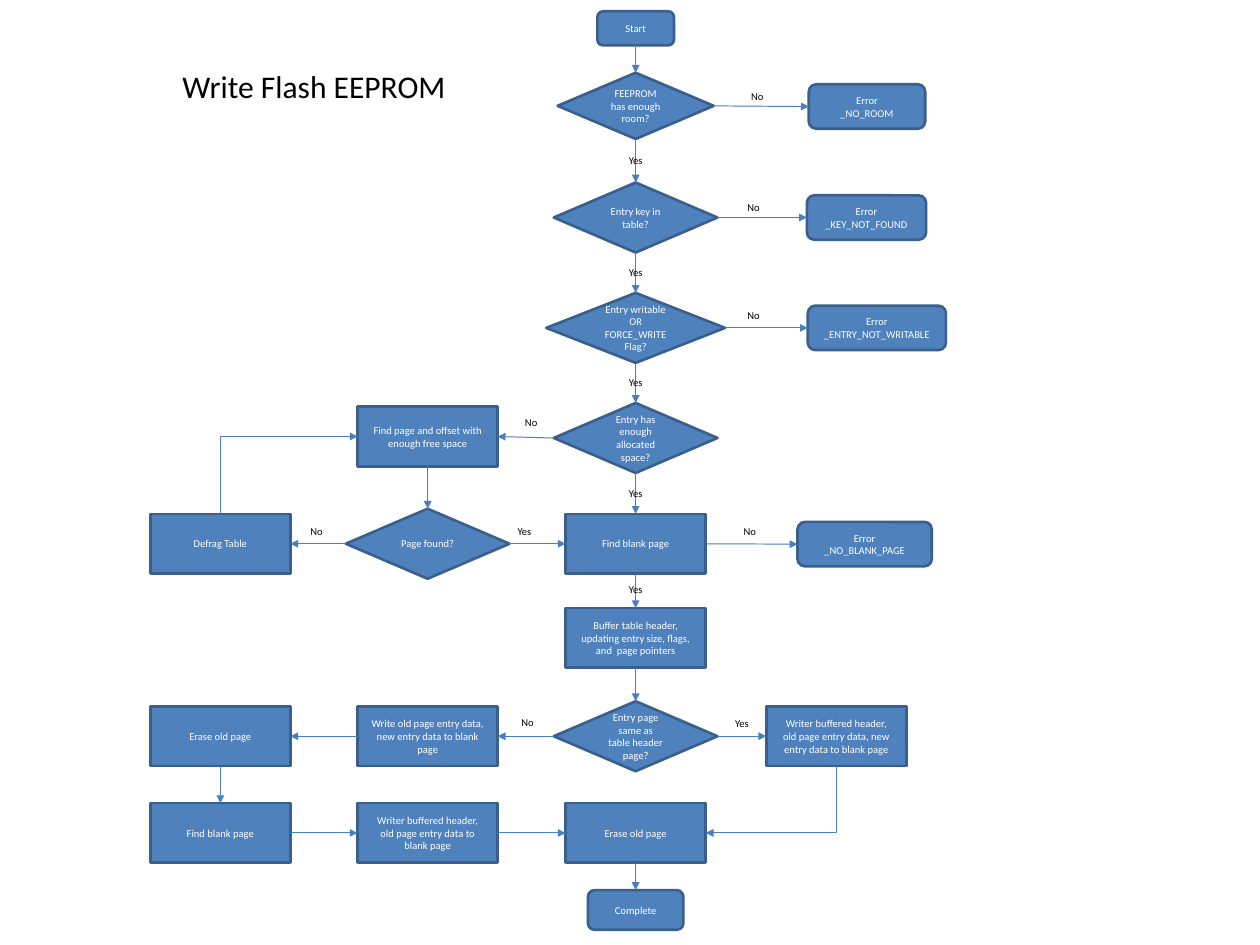
from lxml import etree
from pptx import Presentation
from pptx import util as u
from pptx.dml.color import RGBColor
from pptx.enum import shapes, text
from pptx.oxml.ns import qn

COLORS = {"fill": "4F81BD", "edge": "3A5F8C", "arrow": "4B7EBC",
          "light": "FFFFFF", "dark": "000000"}
TOP, LEFT, BOTTOM, RIGHT = range(4)
PROCESS = shapes.MSO_SHAPE.FLOWCHART_PROCESS
DECISION = shapes.MSO_SHAPE.FLOWCHART_DECISION
TERMINAL = shapes.MSO_SHAPE.FLOWCHART_ALTERNATE_PROCESS

prs = Presentation()
prs.slide_width, prs.slide_height = u.Pt(959), u.Pt(719.3)
s = prs.slides.add_slide(prs.slide_layouts[6])


def write(sp, words, size, color, align, inset_x=9.4, inset_y=5):
    """Fill a shape with one paragraph per line of words."""
    tf = sp.text_frame
    tf.word_wrap = True
    tf.margin_left = tf.margin_right = u.Pt(inset_x)
    tf.margin_top = tf.margin_bottom = u.Pt(inset_y)
    for i, line in enumerate(words.split("\n")):
        p = tf.add_paragraph() if i else tf.paragraphs[0]
        p.alignment = align
        r = p.add_run()
        r.text = line
        r.font.size, r.font.name = u.Pt(size), "Calibri"
        r.font.color.rgb = RGBColor.from_string(COLORS[color])


def link(start, start_site, end, end_site, bent=False):
    """Join two nodes; a bent link leaves its end node vertically."""
    c = s.shapes.add_connector(shapes.MSO_CONNECTOR.STRAIGHT, 0, 0, 0, 0)
    c.begin_connect(nodes[start], start_site)
    c.end_connect(nodes[end], end_site)
    c.line.width = u.Pt(0.75)
    c.line.color.rgb = RGBColor.from_string(COLORS["arrow"])
    if bent:
        c._element.spPr.find(qn("a:prstGeom")).set("prst", "bentConnector2")
    head = "a:headEnd" if bent else "a:tailEnd"
    etree.SubElement(c.line._get_or_add_ln(), qn(head), type="triangle")
    etree.SubElement(c._element.spPr, qn("a:effectLst"))


# Column centres and the shared node sizes
far_left, left, main, right = 167.7, 325.5, 483.8, 636.5
box, diamond = (106.6, 45.4), (124.6, 53.3)

# name: (shape, centre x, centre y, (width, height), words)
NODES = {
    "start": (TERMINAL, main, 21.6, (58.3, 25.9), "Start"),
    "room": (DECISION, main, 80.6, (118.8, 50.4), "FEEPROM has enough room?"),
    "key": (DECISION, main, 165.6, diamond, "Entry key in table?"),
    "writable": (DECISION, main, 249.6, (136.1, 53.3),
                 "Entry writable OR FORCE_WRITE Flag?"),
    "space": (DECISION, main, 333.4, diamond, "Entry has enough allocated space?"),
    "blank": (PROCESS, main, 413.9, box, "Find blank page"),
    "buffer": (PROCESS, main, 485.6, box,
               "Buffer table header, updating entry size, flags, and  page pointers"),
    "same": (DECISION, main, 560.4, diamond, "Entry page same as table header page?"),
    "erase": (PROCESS, main, 634, box, "Erase old page"),
    "complete": (TERMINAL, main, 692.6, (72.7, 30.2), "Complete"),
    "no room": (TERMINAL, 659.9, 81.1, (88.6, 33.8), "Error\n_NO_ROOM"),
    "no key": (TERMINAL, 659.5, 165.6, (90.7, 33.8), "Error\n_KEY_NOT_FOUND"),
    "not writable": (TERMINAL, 667.4, 249.6, (105.1, 33.8),
                     "Error\n_ENTRY_NOT_WRITABLE"),
    "no blank": (TERMINAL, 658.1, 414.2, (102.2, 33.8), "Error\n_NO_BLANK_PAGE"),
    "find": (PROCESS, left, 332.3, box, "Find page and offset with enough free space"),
    "found": (DECISION, left, 413.9, diamond, "Page found?"),
    "defrag": (PROCESS, far_left, 413.9, box, "Defrag Table"),
    "write all": (PROCESS, right, 560.4, box,
                  "Writer buffered header, old page entry data, new entry data to blank page"),
    "write old": (PROCESS, left, 560.4, box,
                  "Write old page entry data, new entry data to blank page"),
    "erase old": (PROCESS, far_left, 560.4, box, "Erase old page"),
    "blank again": (PROCESS, far_left, 634, box, "Find blank page"),
    "write header": (PROCESS, left, 634, box,
                     "Writer buffered header, old page entry data to blank page"),
}
nodes = {}
for name, (kind, cx, cy, (w, h), words) in NODES.items():
    sp = s.shapes.add_shape(kind, u.Pt(cx - w / 2), u.Pt(cy - h / 2), u.Pt(w), u.Pt(h))
    sp.shadow.inherit = False
    sp.fill.solid()
    sp.fill.fore_color.rgb = RGBColor.from_string(COLORS["fill"])
    sp.line.color.rgb = RGBColor.from_string(COLORS["edge"])
    sp.line.width = u.Pt(2)
    sp.text_frame.vertical_anchor = text.MSO_ANCHOR.MIDDLE
    write(sp, words, 8, "light", text.PP_ALIGN.CENTER)
    nodes[name] = sp

# Chains of nodes read downwards, rightwards and leftwards
CHAINS = [
    (BOTTOM, TOP, ["start", "room", "key", "writable", "space", "blank",
                   "buffer", "same", "erase", "complete"]),
    (BOTTOM, TOP, ["find", "found"]),
    (BOTTOM, TOP, ["erase old", "blank again"]),
    (RIGHT, LEFT, ["room", "no room"]),
    (RIGHT, LEFT, ["key", "no key"]),
    (RIGHT, LEFT, ["writable", "not writable"]),
    (RIGHT, LEFT, ["found", "blank", "no blank"]),
    (RIGHT, LEFT, ["same", "write all"]),
    (RIGHT, LEFT, ["blank again", "write header", "erase"]),
    (LEFT, RIGHT, ["space", "find"]),
    (LEFT, RIGHT, ["found", "defrag"]),
    (LEFT, RIGHT, ["same", "write old", "erase old"]),
]
for out_site, in_site, chain in CHAINS:
    for a, b in zip(chain, chain[1:]):
        if (a, b) != ("same", "erase"):
            link(a, out_site, b, in_site)
link("find", LEFT, "defrag", TOP, bent=True)
link("erase", RIGHT, "write all", BOTTOM, bent=True)

# Answers on the branches: (words, left, top, alignment)
label_w, label_h = 47.5, 19.4
LABELS = [("Yes", main - label_w / 2, y, text.PP_ALIGN.CENTER)
          for y in (112.3, 198, 281.5, 365.8, 439.2)]
LABELS += [(words, x, y, text.PP_ALIGN.LEFT) for words, x, y in (
    ("No", 562.3, 64.1), ("No", 559.4, 148.3), ("No", 559.4, 230.4),
    ("No", 390.2, 311.8), ("Yes", 384.5, 394.6), ("No", 226.8, 394.6),
    ("No", 556.6, 394.6), ("Yes", 550.1, 540.7), ("No", 387.4, 540))]
for words, x, y, align in LABELS:
    sp = s.shapes.add_textbox(u.Pt(x), u.Pt(y), u.Pt(label_w), u.Pt(label_h))
    write(sp, words, 8, "dark", align)

title = s.shapes.add_textbox(u.Pt(131.8), u.Pt(47.5), u.Pt(234), u.Pt(36))
write(title, "Write Flash EEPROM", 24, "dark", text.PP_ALIGN.LEFT, 7.2, 3.6)

prs.save("out.pptx")
